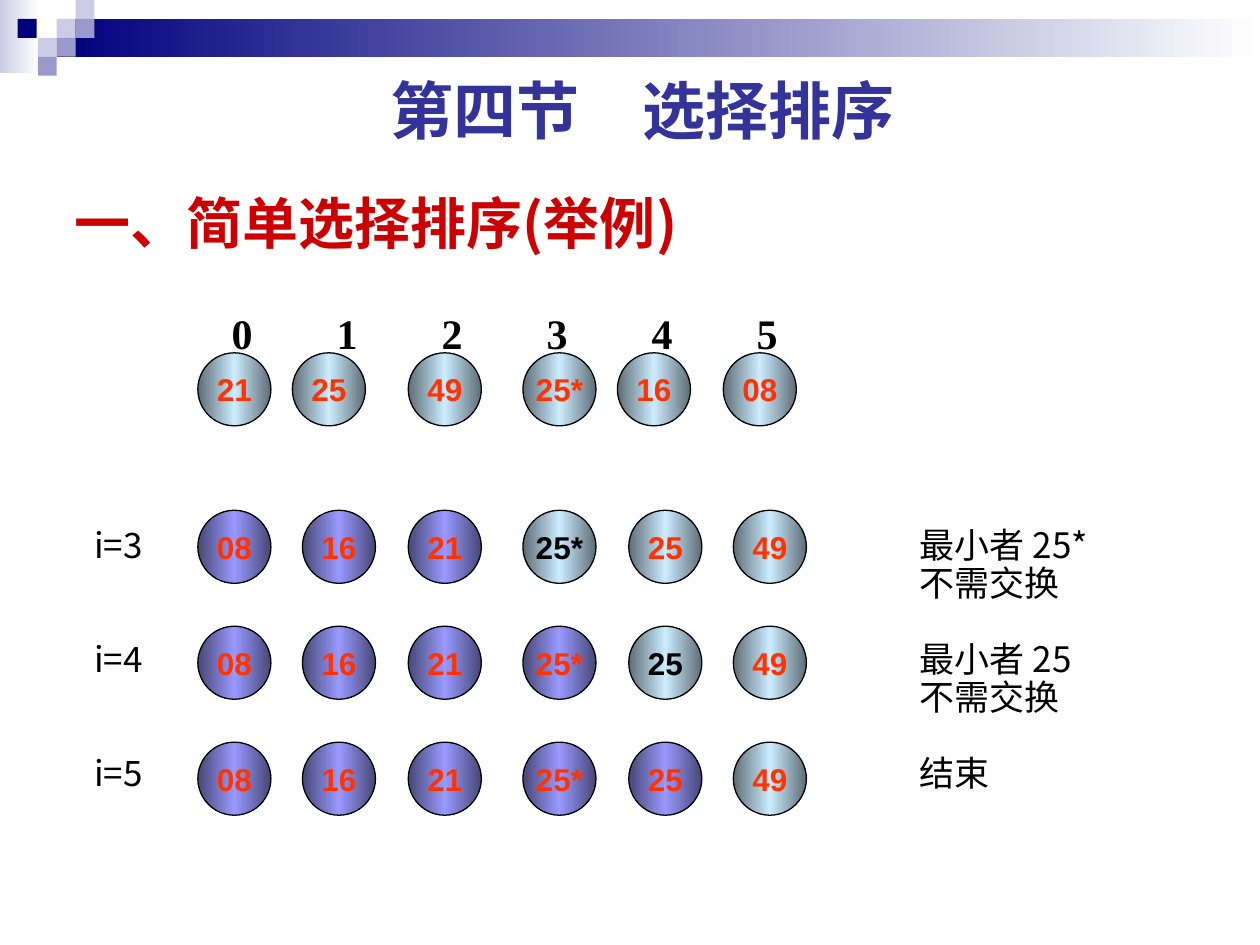
from dataclasses import dataclass

from lxml.etree import SubElement
from pptx import Presentation
from pptx.dml.color import RGBColor
from pptx.enum.shapes import MSO_SHAPE
from pptx.enum.text import MSO_ANCHOR, PP_ALIGN
from pptx.oxml.ns import qn
from pptx.util import Inches, Pt


@dataclass(frozen=True)
class Theme:
    # Colours
    navy: str = "00007D"
    lavender: str = "CCCCE6"
    violet: str = "9999CC"
    white: str = "FFFFFF"
    black: str = "000000"
    title: str = "333399"
    heading: str = "CC0000"
    number: str = "FF3300"
    unsorted: tuple = ("5E6D76", "CCECFF", "5E6D76")
    sorted: tuple = ("474776", "9999FF", "474776")
    # Fonts and type sizes
    chinese: str = "Noto Sans CJK SC"
    title_font: str = "Cabin"
    index_font: str = "Times New Roman"
    number_font: str = "Arial"
    title_size: int = 36
    heading_size: int = 32
    index_size: int = 24
    remark_size: int = 20
    number_size: int = 18
    remark_line: float = 21.7


class SlideBuilder:
    def __init__(self, page, theme):
        self.page = page
        self.theme = theme

    def style(self, para, font, size, color, bold=True):
        para.font.name = font
        para.font.size = Pt(size)
        para.font.bold = bold
        para.font.color.rgb = RGBColor.from_string(color)
        properties = para._p.pPr.find(qn("a:defRPr"))
        latin = properties.find(qn("a:latin"))
        east_asian = latin.makeelement(qn("a:ea"), typeface=self.theme.chinese)
        latin.addnext(east_asian)

    def fill(self, shape, colors):
        """Fill with one colour, or with evenly spaced gradient stops."""
        if isinstance(colors, str):
            shape.fill.solid()
            shape.fill.fore_color.rgb = RGBColor.from_string(colors)
            return
        shape.fill.gradient()
        shape.fill.gradient_angle = 0
        stops = shape._element.spPr.find(qn("a:gradFill")).find(qn("a:gsLst"))
        for stop in list(stops):
            stops.remove(stop)
        for index, color in enumerate(colors):
            position = index * 100000 // (len(colors) - 1)
            stop = SubElement(stops, qn("a:gs"), pos=str(position))
            SubElement(stop, qn("a:srgbClr"), val=color)

    def shape(self, kind, left, top, width, height, colors):
        shape = self.page.shapes.add_shape(
            kind, Inches(left), Inches(top), Inches(width), Inches(height))
        shape.shadow.inherit = False
        shape.line.fill.background()
        self.fill(shape, colors)
        return shape

    def bar(self, left, top, width, height, colors):
        self.shape(MSO_SHAPE.RECTANGLE, left, top, width, height, colors)

    def circle(self, left, top, text, colors, text_color):
        circle = self.shape(MSO_SHAPE.OVAL, left, top, 0.58, 0.58, colors)
        circle.line.color.rgb = RGBColor.from_string(self.theme.black)
        circle.line.width = Pt(0.75)
        frame = circle.text_frame
        frame.word_wrap = False
        frame.vertical_anchor = MSO_ANCHOR.MIDDLE
        para = frame.paragraphs[0]
        para.text = text
        para.alignment = PP_ALIGN.CENTER
        self.style(para, self.theme.number_font, self.theme.number_size, text_color)

    def text_box(self, left, top, width, height):
        box = self.page.shapes.add_textbox(
            Inches(left), Inches(top), Inches(width), Inches(height))
        box.text_frame.word_wrap = True
        return box.text_frame

    def line(self, left, top, width, height, text, font, size, color,
             alignment=PP_ALIGN.LEFT, tabs=()):
        frame = self.text_box(left, top, width, height)
        frame.vertical_anchor = MSO_ANCHOR.MIDDLE
        para = frame.paragraphs[0]
        para.text = text
        para.alignment = alignment
        if tabs:
            tab_list = SubElement(para._p.get_or_add_pPr(), qn("a:tabLst"))
            for position in tabs:
                SubElement(tab_list, qn("a:tab"), pos=str(position), algn="l")
        self.style(para, font, size, color)

    def remark_column(self, left, top, width, height, groups, gap_lines):
        """Stack groups of lines, with a gap before every group but the first."""
        theme = self.theme
        frame = self.text_box(left, top, width, height)
        for group_index, group in enumerate(groups):
            for line_index, text in enumerate(group):
                first = group_index == line_index == 0
                para = frame.paragraphs[0] if first else frame.add_paragraph()
                para.text = text
                para.line_spacing = Pt(theme.remark_line)
                if group_index and line_index == 0:
                    para.space_before = Pt(gap_lines * theme.remark_line)
                self.style(para, theme.chinese, theme.remark_size, theme.black, False)


def main():
    deck = Presentation()
    deck.slide_width, deck.slide_height = Inches(10), Inches(7.5)
    theme = Theme()
    slide = SlideBuilder(deck.slides.add_slide(deck.slide_layouts[6]), theme)

    # Banner with its corner of small squares
    slide.bar(0, 0, 0.31, 0.58, (theme.lavender, theme.white))
    slide.bar(0.45, 0.15, 9.55, 0.3, (theme.navy, theme.white))
    squares = [
        (0.45, 0.15, theme.lavender), (0.6, 0, theme.lavender),
        (0.6, 0.15, theme.violet), (0.3, 0.3, theme.lavender),
        (0.14, 0.15, theme.navy), (0.45, 0.3, theme.violet),
        (0.3, 0.45, theme.violet),
    ]
    for left, top, color in squares:
        slide.bar(left, top, 0.15, 0.15, color)

    # Title and heading
    slide.line(0.47, 0.52, 9.25, 0.7, "第四节　选择排序", theme.title_font,
               theme.title_size, theme.title, PP_ALIGN.CENTER)
    slide.line(0.49, 1.39, 6.25, 0.75, "一、简单选择排序(举例)", theme.chinese,
               theme.heading_size, theme.heading)

    # Array before sorting, under its indexes
    slide.line(1.74, 2.39, 4.86, 0.5, "\t".join("012345"), theme.index_font,
               theme.index_size, theme.black,
               tabs=[Pt(60 * index) for index in range(1, 6)])
    start = [(1.57, "21"), (2.32, "25"), (3.24, "49"),
             (4.15, "25*"), (4.9, "16"), (5.74, "08")]
    for left, number in start:
        slide.circle(left, 2.8, number, theme.unsorted, theme.number)

    # Passes 3 to 5: the first i numbers are sorted, the minimum is black
    columns = [1.57, 2.4, 3.24, 4.15, 4.99, 5.82]
    numbers = ["08", "16", "21", "25*", "25", "49"]
    passes = [3, 4, 5]
    for row, step in enumerate(passes):
        for index, (left, number) in enumerate(zip(columns, numbers)):
            colors = theme.sorted if index < step else theme.unsorted
            is_minimum = index == step and step < passes[-1]
            slide.circle(left, 4.05 + 0.92 * row, number, colors,
                         theme.black if is_minimum else theme.number)

    # Pass labels and remarks
    slide.remark_column(0.65, 4.14, 0.62, 3.1, [[f"i={step}"] for step in passes], 2)
    remarks = [["最小者 25*", "不需交换"], ["最小者 25", "不需交换"], ["结束"]]
    slide.remark_column(7.2, 4.14, 1.66, 2.2, remarks, 1)

    deck.save("out.pptx")


if __name__ == "__main__":
    main()
